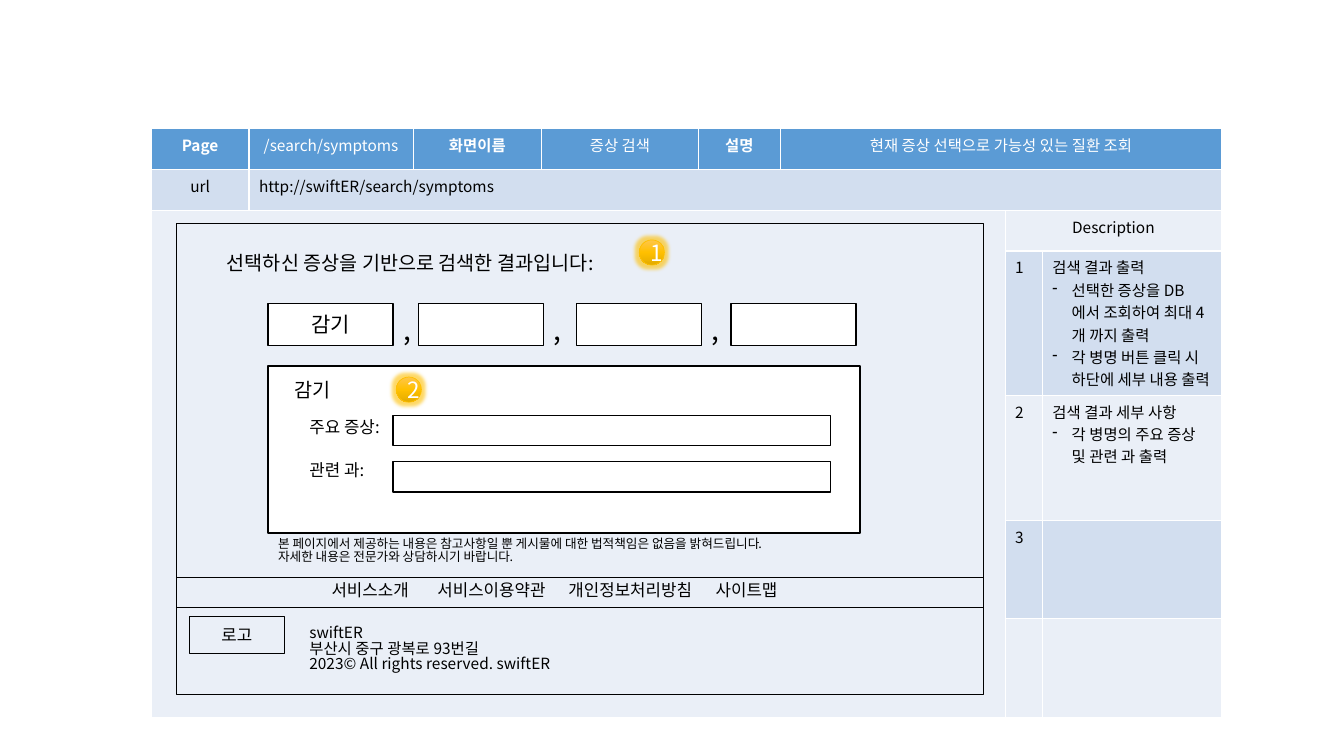
from dataclasses import dataclass, field

from lxml import etree
from pptx import Presentation
from pptx import util as u
from pptx.dml.color import RGBColor
from pptx.enum import shapes, text
from pptx.oxml import ns

FACE = "Noto Sans CJK KR"
BLACK = RGBColor(0x00, 0x00, 0x00)
WHITE = RGBColor(0xFF, 0xFF, 0xFF)
BLUE = RGBColor(0x5B, 0x9B, 0xD5)
BAND = RGBColor(0xD2, 0xDE, 0xEF)
PALE = RGBColor(0xEA, 0xEF, 0xF7)
GOLD = RGBColor(0xFF, 0xC0, 0x00)
GLOSS = ((0, RGBColor(0xFF, 0xC6, 0x4B)), (50, GOLD), (100, RGBColor(0xE3, 0xAB, 0x00)))
LEFT, MID = text.PP_ALIGN.LEFT, text.PP_ALIGN.CENTER
COLS = (0.97, 1.63, 1.27, 1.56, 0.81, 2.23, 0.37, 1.78)
ROWS = (0.41, 0.41, 0.4, 0.98, 1.24, 0.98, 0.98)


@dataclass
class Cell:
    row: int
    col: int
    fill: RGBColor
    lines: list[str] = field(default_factory=list)
    span: tuple[int, int] = (1, 1)
    align: text.PP_ALIGN = LEFT
    color: RGBColor = BLACK
    bold: bool = False


@dataclass
class Box:
    left: float
    top: float
    width: float
    height: float
    label: str = ""
    size: float = 12
    fill: RGBColor | None = None
    line: float = 0.25


@dataclass
class Note:
    left: float
    top: float
    width: float
    height: float
    lines: list[str]
    size: float


def head(col: int, label: str, bold: bool = False, wide: int = 1) -> Cell:
    """Describe one cell of the top row."""
    return Cell(0, col, BLUE, [label], (1, wide), MID, WHITE, bold)


CELLS = [
    head(0, "Page", True), head(1, "/search/symptoms"),
    head(2, "화면이름", True), head(3, "증상 검색"),
    head(4, "설명", True), head(5, "현재 증상 선택으로 가능성 있는 질환 조회", wide=3),
    Cell(1, 0, BAND, ["url"], align=MID),
    Cell(1, 1, BAND, ["http://swiftER/search/symptoms"], (1, 7)),
    Cell(2, 0, PALE, span=(5, 6)),
    Cell(2, 6, PALE, ["Description"], (1, 2), MID),
    Cell(3, 6, BAND, ["1"]),
    Cell(3, 7, BAND, ["검색 결과 출력", "선택한 증상을 DB에서 조회하여 최대 4개 까지 출력",
                      "각 병명 버튼 클릭 시 하단에 세부 내용 출력"]),
    Cell(4, 6, PALE, ["2"]),
    Cell(4, 7, PALE, ["검색 결과 세부 사항", "각 병명의 주요 증상 및 관련 과 출력"]),
    Cell(5, 6, BAND, ["3"]), Cell(5, 7, BAND),
    Cell(6, 6, PALE), Cell(6, 7, PALE),
]
FRAME = [
    Box(1.75, 2.21, 8, 4.68),
    Box(1.88, 6.11, 0.94, 0.37, "로고"),
    Box(1.75, 5.73, 8, 0.29),
]
PICKS = [Box(x, 3.01, 1.24, 0.42, label, 15, WHITE, 1)
         for x, label in ((2.66, "감기"), (4.15, ""), (5.72, ""), (7.25, ""))]
PANEL = [Box(2.66, 3.63, 5.87, 1.66, fill=WHITE, line=1)]
FIELDS = [Box(3.9, y, 4.34, 0.3, fill=WHITE, line=1) for y in (4.12, 4.58)]
LINKS = ((3.19, "서비스소개"), (4.24, "서비스이용약관"),
         (5.54, "개인정보처리방침"), (7, "사이트맵"))
NOTES = [
    Note(2.97, 6.16, 2.77, 0.66,
         ["swiftER", "부산시 중구 광복로 93번길", "2023© All rights reserved. swiftER"], 11),
    *(Note(pick.left + pick.width, 3.1, 0.29, 0.44, [","], 20) for pick in PICKS[:-1]),
    *(Note(x, 5.73, 1.5, 0.3, [label], 12) for x, label in LINKS),
    Note(2.82, 3.74, 0.92, 0.34, ["감기"], 14),
    Note(2.97, 4.12, 1.22, 0.3, ["주요 증상:"], 12),
    Note(2.97, 4.54, 1.22, 0.3, ["관련 과:"], 12),
    Note(2.66, 5.29, 5.87, 0.4,
         ["본 페이지에서 제공하는 내용은 참고사항일 뿐 게시물에 대한 법적책임은 없음을 밝혀드립니다.",
          "자세한 내용은 전문가와 상담하시기 바랍니다."], 9),
]
TITLE = Note(2.15, 2.47, 6.81, 0.34, ["선택하신 증상을 기반으로 검색한 결과입니다:"], 14)
BADGES = [Box(6.34, 2.38, 0.25, 0.25, "1", 16, GOLD, 0.5),
          Box(3.93, 3.74, 0.25, 0.25, "2", 16, GOLD, 0.5)]


def place(box: Box | Note) -> tuple:
    return tuple(u.Inches(n) for n in (box.left, box.top, box.width, box.height))


def write(frame, lines: list[str], size: float, color: RGBColor = BLACK,
          align: text.PP_ALIGN = LEFT, bold: bool = False,
          pitch: float | None = None, dash: bool = False) -> None:
    """Fill a text frame; with dash, all lines but the first are list items."""
    look = {"name": FACE, "size": u.Pt(size), "bold": bold}
    for i, line in enumerate(lines):
        para = frame.paragraphs[0] if i == 0 else frame.add_paragraph()
        para.alignment = align
        if pitch:
            para.line_spacing = pitch
        run = para.add_run()
        run.text = line
        for key, value in look.items():
            setattr(run.font, key, value)
        run.font.color.rgb = color
        east = etree.SubElement(run._r.get_or_add_rPr(), ns.qn("a:ea"))
        east.set("typeface", FACE)
        if dash and i:
            prop = para._p.get_or_add_pPr()
            prop.set("marL", str(u.Inches(0.19)))
            prop.set("indent", str(-u.Inches(0.19)))
            etree.SubElement(prop, ns.qn("a:buChar")).set("char", "-")


def draw_grid(slide) -> None:
    area = (u.Inches(n) for n in (1.5, 1.27, sum(COLS), sum(ROWS)))
    grid = slide.shapes.add_table(len(ROWS), len(COLS), *area).table
    for col, width in zip(grid.columns, COLS):
        col.width = u.Inches(width)
    for row, height in zip(grid.rows, ROWS):
        row.height = u.Inches(height)
    for item in CELLS:
        cell = grid.cell(item.row, item.col)
        if item.span != (1, 1):
            down, wide = item.span
            cell.merge(grid.cell(item.row + down - 1, item.col + wide - 1))
        cell.fill.solid()
        cell.fill.fore_color.rgb = item.fill
        write(cell.text_frame, item.lines, 11, item.color, item.align, item.bold, dash=True)


def draw_box(slide, box: Box, kind=shapes.MSO_SHAPE.RECTANGLE,
             ink: RGBColor = BLACK, edge: RGBColor = BLACK):
    shape = slide.shapes.add_shape(kind, *place(box))
    shape.shadow.inherit = False
    if box.fill is None:
        shape.fill.background()
    else:
        shape.fill.solid()
        shape.fill.fore_color.rgb = box.fill
    shape.line.color.rgb = edge
    shape.line.width = u.Pt(box.line)
    if box.label:
        shape.text_frame.vertical_anchor = text.MSO_ANCHOR.MIDDLE
        write(shape.text_frame, [box.label], box.size, ink, MID)
    return shape


def draw_badge(slide, box: Box) -> None:
    """Draw a glossy, glowing numbered dot."""
    shape = draw_box(slide, box, shapes.MSO_SHAPE.OVAL, WHITE, GOLD)
    shape.fill.gradient()
    shape.fill.gradient_angle = 270
    prop = shape._element.spPr
    stops = prop.find(".//" + ns.qn("a:gsLst"))
    for stop in list(stops):
        stops.remove(stop)
    for pos, color in GLOSS:
        stop = etree.SubElement(stops, ns.qn("a:gs"), pos=str(pos * 1000))
        etree.SubElement(stop, ns.qn("a:srgbClr"), val=str(color))
    glow = etree.SubElement(prop.find(ns.qn("a:effectLst")), ns.qn("a:glow"),
                            rad=str(u.Pt(5)))
    tint = etree.SubElement(glow, ns.qn("a:srgbClr"), val=str(GOLD))
    etree.SubElement(tint, ns.qn("a:alpha"), val="60000")


def fill_note(shape, note: Note) -> None:
    frame = shape.text_frame
    look = {"word_wrap": True, "auto_size": text.MSO_AUTO_SIZE.NONE,
            "vertical_anchor": text.MSO_ANCHOR.TOP}
    for key, value in look.items():
        setattr(frame, key, value)
    write(frame, note.lines, note.size, pitch=0.85)


def main() -> None:
    deck = Presentation()
    deck.slide_width, deck.slide_height = u.Inches(13.33), u.Inches(7.5)
    slide = deck.slides.add_slide(deck.slide_layouts[5])
    draw_grid(slide)
    for box in FRAME + PICKS + PANEL + FIELDS:
        draw_box(slide, box)
    for note in NOTES:
        fill_note(slide.shapes.add_textbox(*place(note)), note)
    title = slide.shapes.title
    title.left, title.top, title.width, title.height = place(TITLE)
    fill_note(title, TITLE)
    slide.shapes._spTree.append(title._element)
    for box in BADGES:
        draw_badge(slide, box)
    deck.save("out.pptx")


if __name__ == "__main__":
    main()
